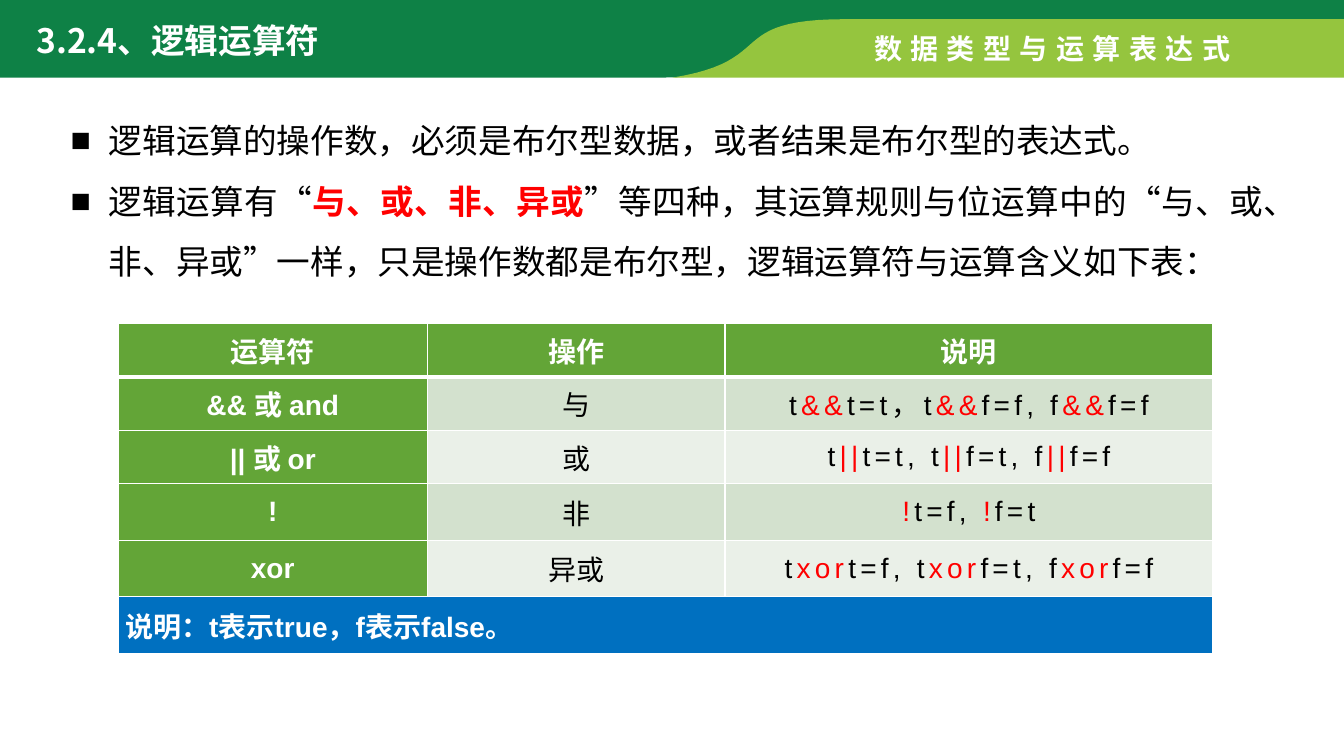
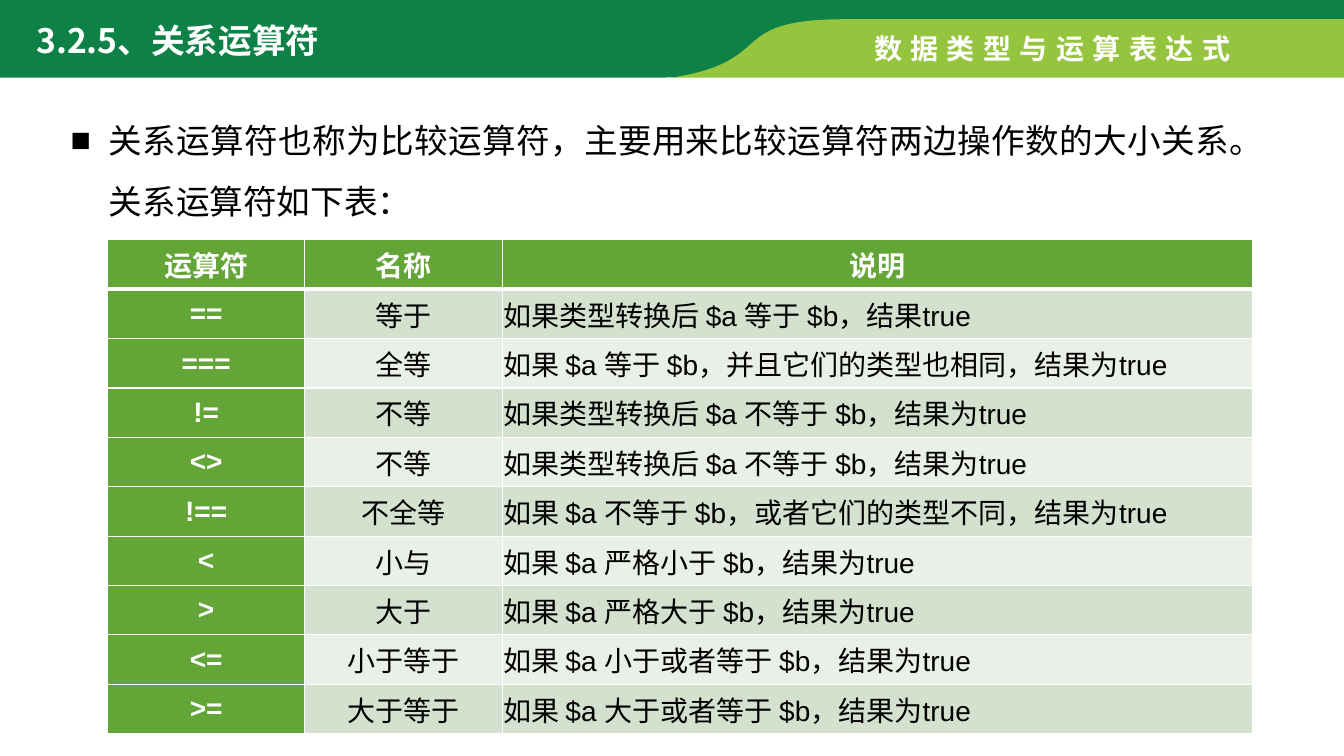
from lxml import etree
from pptx import Presentation
from pptx.dml.color import RGBColor
from pptx.enum.text import MSO_ANCHOR, MSO_AUTO_SIZE, PP_ALIGN
from pptx.oxml.ns import qn
from pptx.util import Inches, Pt

LEFT, CENTER, JUSTIFY = PP_ALIGN.LEFT, PP_ALIGN.CENTER, PP_ALIGN.JUSTIFY
TOP, MIDDLE = MSO_ANCHOR.TOP, MSO_ANCHOR.MIDDLE
GROW = MSO_AUTO_SIZE.SHAPE_TO_FIT_TEXT

LATIN, CJK = "Arial", "Noto Sans CJK SC"
WHITE, BLACK, RED, BLUE = "FFFFFF", "000000", "FF0000", "0070C0"
DARK_GREEN, LIME, TABLE_GREEN = "0E8146", "95C53E", "63A537"
STRIPES = ("D3E1CE", "EAF0E8")

TITLE = {"size": Pt(24), "name": CJK, "bold": True, "color": WHITE}
BODY = {"size": Pt(24), "name": CJK, "bold": False, "color": BLACK}
BODY_MARK = {"color": RED, "bold": True}
CELL = {"size": Pt(20), "name": LATIN, "bold": False, "color": BLACK}
CELL_HEAD = {**CELL, "bold": True, "color": WHITE}
CHAPTER = {**CELL_HEAD, "spacing": 6}
FORMULA = {**CELL, "spacing": 3}

# A pair is a corner; a triple of pairs is a Bézier curve.
DARK_BAND = [(0, -0.03), (13.33, -0.03), (13.33, 0.24), (8.27, 0.24), (8.09, 0.28),
             ((7.27, 0.44), (7.7, 0.77), (6.55, 0.77)), (0, 0.77)]
LIME_BAND = [(8.39, 0.19), (13.33, 0.19), (13.33, 0.77), (6.67, 0.77),
             ((7.73, 0.6), (7.17, 0.19), (8.39, 0.19))]


def rgb(color):
    return RGBColor.from_string(color)


def flatten(outline, steps=24):
    """Turn corners and curves into a list of points."""
    points = []
    for part in outline:
        if len(part) == 2:
            points.append(part)
            continue
        hull = (points[-1], *part)
        for step in range(1, steps + 1):
            t = step / steps
            weights = ((1 - t) ** 3, 3 * t * (1 - t) ** 2, 3 * t * t * (1 - t), t ** 3)
            points.append(tuple(sum(w * point[axis] for w, point in zip(weights, hull))
                                for axis in (0, 1)))
    return points


class Deck:
    """Holds the shared style and the current page."""

    def __init__(self):
        self.deck = Presentation()
        self.deck.slide_width, self.deck.slide_height = Inches(13.33), Inches(7.5)
        self.page = None

    def add_page(self, title, paragraphs, body_height):
        self.page = self.deck.slides.add_slide(self.deck.slide_layouts[1])
        self.body(paragraphs, body_height)
        self.band(DARK_BAND, DARK_GREEN)
        self.band(LIME_BAND, LIME)
        self.chapter("数据类型与运算表达式")
        self.title(title)

    def place(self, box, left, top, width, height, wrap=True):
        box.left, box.top = Inches(left), Inches(top)
        box.width, box.height = Inches(width), Inches(height)
        frame = box.text_frame
        frame.word_wrap, frame.auto_size, frame.vertical_anchor = wrap, GROW, TOP
        return frame

    def add_text(self, para, text, style, align=LEFT, mark=None):
        """Add text in a style; parts between ^ signs take the mark style too."""
        para.alignment = align
        for index, part in enumerate(text.split("^")):
            if not part:
                continue
            span = para.add_run()
            span.text = part
            values = {**style, **(mark or {})} if index % 2 else style
            for key in ("size", "name", "bold"):
                setattr(span.font, key, values[key])
            span.font.color.rgb = rgb(values["color"])
            props = span._r.get_or_add_rPr()
            etree.SubElement(props, qn("a:ea"), typeface=CJK)
            if "spacing" in values:
                props.set("spc", str(values["spacing"] * 100))

    def title(self, text):
        box = self.page.shapes.title
        self.page.shapes._spTree.append(box._element)  # in front of the bands
        frame = self.place(box, 0.26, 0.15, 3.77, 0.5)
        self.add_text(frame.paragraphs[0], text, TITLE)

    def chapter(self, text):
        box = self.page.shapes.add_textbox(0, 0, 0, 0)
        frame = self.place(box, 8.57, 0.26, 3.85, 0.44, wrap=False)
        self.add_text(frame.paragraphs[0], text, CHAPTER)

    def body(self, paragraphs, height):
        frame = self.place(self.page.placeholders[1], 0.6, 0.94, 12.03, height)
        for index, text in enumerate(paragraphs):
            para = frame.add_paragraph() if index else frame.paragraphs[0]
            para.line_spacing, para.space_before = 1.5, Pt(0)
            self.add_text(para, text, BODY, JUSTIFY, BODY_MARK)
            props = para._p.get_or_add_pPr()
            props.set("marL", str(Inches(0.38)))
            props.set("indent", str(-Inches(0.38)))
            etree.SubElement(props, qn("a:buFont"), typeface=LATIN)
            etree.SubElement(props, qn("a:buChar"), char="■")

    def band(self, outline, color):
        start, *points = [(Inches(x), Inches(y)) for x, y in flatten(outline)]
        builder = self.page.shapes.build_freeform(*start)
        builder.add_line_segments(points, close=True)
        shape = builder.convert_to_shape()
        shape.shadow.inherit = False
        shape.fill.solid()
        shape.fill.fore_color.rgb = rgb(color)
        shape.line.fill.background()

    def borders(self, cell, top, bottom):
        props = cell._tc.get_or_add_tcPr()
        sides = {"lnL": 1, "lnR": 1, "lnT": top, "lnB": bottom}
        for index, (side, width) in enumerate(sides.items()):
            line = etree.Element(qn(f"a:{side}"), w=str(Pt(width)))
            fill = etree.SubElement(line, qn("a:solidFill"))
            etree.SubElement(fill, qn("a:srgbClr"), val=WHITE)
            props.insert(index, line)

    def cell(self, cell, text, color, style, align, margins):
        cell.vertical_anchor = MIDDLE
        cell.margin_left = cell.margin_right = Inches(margins[0])
        cell.margin_top = cell.margin_bottom = Inches(margins[1])
        cell.fill.solid()
        cell.fill.fore_color.rgb = rgb(color)
        self.add_text(cell.text_frame.paragraphs[0], text, style, align, {"color": RED})

    def table(self, rows, left, top, widths, heights, margins, last_style, last_align):
        """Add a table with a green head row and first column; a one-text row spans it."""
        frame = self.page.shapes.add_table(
            len(rows), len(widths), Inches(left), Inches(top),
            Inches(sum(widths)), Inches(sum(heights)))
        table = frame.table
        table.horz_banding = False
        for column, width in zip(table.columns, widths):
            column.width = Inches(width)
        for r, (texts, height) in enumerate(zip(rows, heights)):
            table.rows[r].height = Inches(height)
            for c in range(len(widths)):
                self.borders(table.cell(r, c), 3 if r == 1 else 1, 1 if r else 3)
            if len(texts) == 1:
                table.cell(r, 0).merge(table.cell(r, len(widths) - 1))
                self.cell(table.cell(r, 0), texts[0], BLUE, CELL_HEAD, JUSTIFY, margins)
                continue
            for c, text in enumerate(texts):
                color, style, align = STRIPES[(r - 1) % 2], CELL, CENTER
                if r == 0 or c == 0:
                    color, style = TABLE_GREEN, CELL_HEAD
                elif c == len(widths) - 1:
                    style, align = last_style, last_align
                self.cell(table.cell(r, c), text, color, style, align, margins)


LOGIC_ROWS = [
    ("运算符", "操作", "说明"),
    ("&& 或 and", "与", "t^&&^t=t，t^&&^f=f, f^&&^f=f"),
    ("|| 或 or", "或", "t^||^t=t, t^||^f=t, f^||^f=f"),
    ("!", "非", "^!^t=f, ^!^f=t"),
    ("xor", "异或", "t^xor^t=f, t^xor^f=t, f^xor^f=f"),
    ("说明：t表示true，f表示false。",),
]
RELATION_ROWS = [
    ("运算符", "名称", "说明"),
    ("==", "等于", "如果类型转换后 $a 等于 $b，结果true"),
    ("===", "全等", "如果 $a 等于 $b，并且它们的类型也相同，结果为true"),
    ("!=", "不等", "如果类型转换后 $a 不等于 $b，结果为true"),
    ("<>", "不等", "如果类型转换后 $a 不等于 $b，结果为true"),
    ("!==", "不全等", "如果 $a 不等于 $b，或者它们的类型不同，结果为true"),
    ("<", "小与", "如果 $a 严格小于 $b，结果为true"),
    (">", "大于", "如果 $a 严格大于 $b，结果为true"),
    ("<=", "小于等于", "如果 $a 小于或者等于 $b，结果为true"),
    (">=", "大于等于", "如果 $a 大于或者等于 $b，结果为true"),
]


def main():
    show = Deck()
    show.add_page("3.2.4、逻辑运算符", [
        "逻辑运算的操作数，必须是布尔型数据，或者结果是布尔型的表达式。",
        "逻辑运算有“^与、或、非、异或^”等四种，其运算规则与位运算中的“与、或、非、异或”一样，"
        "只是操作数都是布尔型，逻辑运算符与运算含义如下表：",
    ], 1.92)
    show.table(LOGIC_ROWS, 1.17, 3.21, (3.07, 2.95, 4.84), [0.53] * 3 + [0.56] * 3,
               (0.07, 0), FORMULA, CENTER)

    show.add_page("3.2.5、关系运算符", [
        "关系运算符也称为比较运算符，主要用来比较运算符两边操作数的大小关系。关系运算符如下表：",
    ], 1.22)
    show.table(RELATION_ROWS, 1.07, 2.38, (1.95, 1.96, 7.44), [0.49] * len(RELATION_ROWS),
               (0.01, 0.01), CELL, JUSTIFY)
    show.deck.save("out.pptx")


if __name__ == "__main__":
    main()
